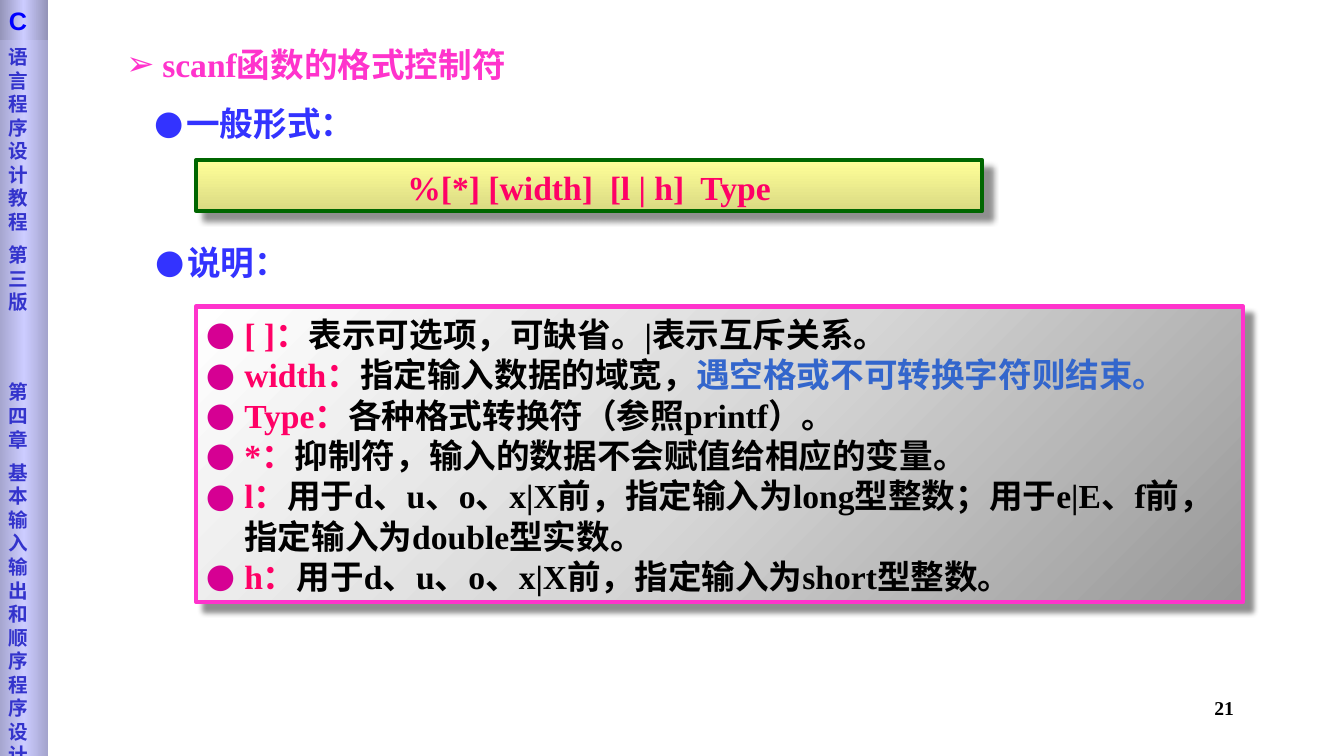
from lxml import etree
from pptx import Presentation
from pptx.dml.color import RGBColor
from pptx.enum.shapes import MSO_SHAPE
from pptx.enum.text import MSO_ANCHOR, MSO_AUTO_SIZE, PP_ALIGN
from pptx.oxml import parse_xml
from pptx.oxml.ns import qn
from pptx.util import Pt

RECTANGLE = MSO_SHAPE.RECTANGLE
TOP, MIDDLE = MSO_ANCHOR.TOP, MSO_ANCHOR.MIDDLE
LEFT, CENTER, RIGHT = PP_ALIGN.LEFT, PP_ALIGN.CENTER, PP_ALIGN.RIGHT
NO_AUTOFIT = MSO_AUTO_SIZE.NONE
DRAWING = "http://schemas.openxmlformats.org/drawingml/2006/main"
SERIF, SANS, CJK, SYMBOL = "Times New Roman", "Arial", "Noto Sans CJK SC", "DejaVu Sans"
LINE_RATIO = 1.2
COLORS = {
    "pink": "FF33CC", "blue": "3333FF", "rose": "FF0066", "black": "000000",
    "note": "3366CC", "green": "006600", "bullet": "D60093",
    "side_text": "3333CC", "badge_text": "0000FF",
}
GRADIENTS = {
    "syntax": (90, ["FFFF99", "DADA83"]),
    "notes": (225, ["979797", "D7D7D7", "FFFFFF"]),
    "side": (0, ["A4A4CD", "CCCCFF", "A4A4CD"]),
    "badge": (0, ["9292B6", "CCCCFF", "9292B6"]),
}
NOTES = [
    [("[ ]：", "rose"), ("表示可选项，可缺省。|表示互斥关系。", "black")],
    [("width：", "rose"), ("指定输入数据的域宽，", "black"),
     ("遇空格或不可转换字符则结束。", "note")],
    [("Type：", "rose"), ("各种格式转换符（参照printf）。", "black")],
    [("*：", "rose"), ("抑制符，输入的数据不会赋值给相应的变量。", "black")],
    [("l：", "rose"), ("用于d、u、o、x|X前，指定输入为long型整数；"
                      "用于e|E、f前，指定输入为double型实数。", "black")],
    [("h：", "rose"), ("用于d、u、o、x|X前，指定输入为short型整数。", "black")],
]
SIDE_LINES = [("语言程序设计教程", 0), ("第三版", 7), ("第四章", 47.5),
              ("基本输入输出和顺序程序设计", 7)]


def write_paragraph(paragraph, runs, size, font_name=SERIF, align=LEFT, before=0):
    """Fill a paragraph with coloured bold runs."""
    paragraph.alignment = align
    paragraph.space_before = Pt(before)
    paragraph.line_spacing = Pt(size * LINE_RATIO)
    font = paragraph.font
    font.size, font.bold, font.name = Pt(size), True, font_name
    latin = next(paragraph._p.iter(qn("a:latin")))
    latin.addnext(etree.Element(qn("a:ea"), typeface=CJK))
    for text, color in runs:
        run = paragraph.add_run()
        run.text = text
        run.font.color.rgb = RGBColor.from_string(COLORS[color])


def add_bullet(paragraph, character, color, indent):
    """Give a paragraph a hanging bullet."""
    properties = paragraph._p.get_or_add_pPr()
    properties.set("marL", str(Pt(indent)))
    properties.set("indent", str(-Pt(indent)))
    bullet = parse_xml(
        f'<a:pPr xmlns:a="{DRAWING}"><a:buClr><a:srgbClr val="{COLORS[color]}"/></a:buClr>'
        f'<a:buFont typeface="{SYMBOL}"/><a:buChar char="{character}"/></a:pPr>')
    defaults = properties.find(qn("a:defRPr"))
    for part in list(bullet):
        defaults.addprevious(part)


def prepare_frame(shape, anchor=TOP, top_inset=5):
    """Set wrapping, anchor and insets, and return the text frame."""
    frame = shape.text_frame
    frame.word_wrap = True
    frame.auto_size = NO_AUTOFIT
    frame.vertical_anchor = anchor
    frame.margin_left = frame.margin_right = Pt(7.2)
    frame.margin_top, frame.margin_bottom = Pt(top_inset), Pt(3.6)
    return frame


def add_panel(slide, box, gradient, border=None):
    """Draw a gradient rectangle, with a border and shadow when a colour is given."""
    shape = slide.shapes.add_shape(RECTANGLE, *map(Pt, box))
    shape.shadow.inherit = False
    angle, stops = GRADIENTS[gradient]
    step = 100000 // (len(stops) - 1)
    stop_xml = "".join(f'<a:gs pos="{index * step}"><a:srgbClr val="{color}"/></a:gs>'
                       for index, color in enumerate(stops))
    shape._element.spPr.find(qn("a:prstGeom")).addnext(parse_xml(
        f'<a:gradFill xmlns:a="{DRAWING}" rotWithShape="1"><a:gsLst>{stop_xml}</a:gsLst>'
        f'<a:lin ang="{angle * 60000}" scaled="0"/></a:gradFill>'))
    if border is None:
        shape.line.fill.background()
        return shape
    shape.line.color.rgb = RGBColor.from_string(COLORS[border])
    shape.line.width = Pt(3)
    shape._element.spPr.find(qn("a:effectLst")).append(parse_xml(
        f'<a:outerShdw xmlns:a="{DRAWING}" blurRad="{Pt(4)}" dist="{Pt(8.4)}" '
        f'dir="{45 * 60000}" algn="ctr" rotWithShape="0">'
        f'<a:srgbClr val="{COLORS["black"]}"><a:alpha val="43000"/></a:srgbClr>'
        '</a:outerShdw>'))
    return shape


def add_title(slide, box, text):
    """Place the slide heading in the title placeholder."""
    title = slide.shapes.title
    title.left, title.top, title.width, title.height = map(Pt, box)
    paragraph = prepare_frame(title).paragraphs[0]
    write_paragraph(paragraph, [(text, "pink")], 24)
    add_bullet(paragraph, "➢", "pink", 25.7)


def add_subheading(slide, box, text):
    """Place a bulleted subheading."""
    textbox = slide.shapes.add_textbox(*map(Pt, box))
    paragraph = prepare_frame(textbox).paragraphs[0]
    write_paragraph(paragraph, [(text, "blue")], 24, CJK)
    add_bullet(paragraph, "●", "blue", 23)


def add_syntax(slide, box, text):
    """Place the format syntax panel."""
    panel = add_panel(slide, box, "syntax", "green")
    paragraph = prepare_frame(panel).paragraphs[0]
    write_paragraph(paragraph, [(text, "rose")], 24, align=CENTER)


def add_notes_panel(slide, box):
    """Place the panel that explains each part of the syntax."""
    frame = prepare_frame(add_panel(slide, box, "notes", "pink"), MIDDLE)
    for index, runs in enumerate(NOTES):
        paragraph = frame.add_paragraph() if index else frame.paragraphs[0]
        write_paragraph(paragraph, runs, 24)
        add_bullet(paragraph, "●", "bullet", 27.4)


def add_sidebar(slide, box):
    """Place the vertical course strip and its badge."""
    left, top, width, height = box
    frame = prepare_frame(add_panel(slide, box, "side"), top_inset=32.3)
    for index, (text, before) in enumerate(SIDE_LINES):
        paragraph = frame.add_paragraph() if index else frame.paragraphs[0]
        write_paragraph(paragraph, [(text, "side_text")], 14, SYMBOL, before=before)
    badge = add_panel(slide, (left, top, width, 28.8), "badge")
    write_paragraph(prepare_frame(badge, top_inset=3.6).paragraphs[0],
                    [("C", "badge_text")], 18, SANS)


def add_page_number(slide, box, text):
    """Place the page number at the lower right."""
    textbox = slide.shapes.add_textbox(*map(Pt, box))
    write_paragraph(prepare_frame(textbox).paragraphs[0], [(text, "black")], 14, align=RIGHT)


def main():
    """Build and save the slide."""
    presentation = Presentation()
    presentation.slide_width, presentation.slide_height = Pt(960), Pt(540)
    slide = presentation.slides.add_slide(presentation.slide_layouts[5])
    add_title(slide, (83, 26.6, 379, 36), "scanf函数的格式控制符")
    add_syntax(slide, (140, 114.5, 561.6, 36), "%[*] [width]  [l | h]  Type")
    add_subheading(slide, (103, 68.4, 189, 36), "一般形式：")
    add_subheading(slide, (103.7, 167.8, 189, 36), "说明：")
    add_notes_panel(slide, (140, 218.9, 748, 211))
    add_sidebar(slide, (-0.7, 0, 35.3, 540))
    add_page_number(slide, (688.3, 491.8, 200.2, 36), "21")
    presentation.save("out.pptx")


if __name__ == "__main__":
    main()
